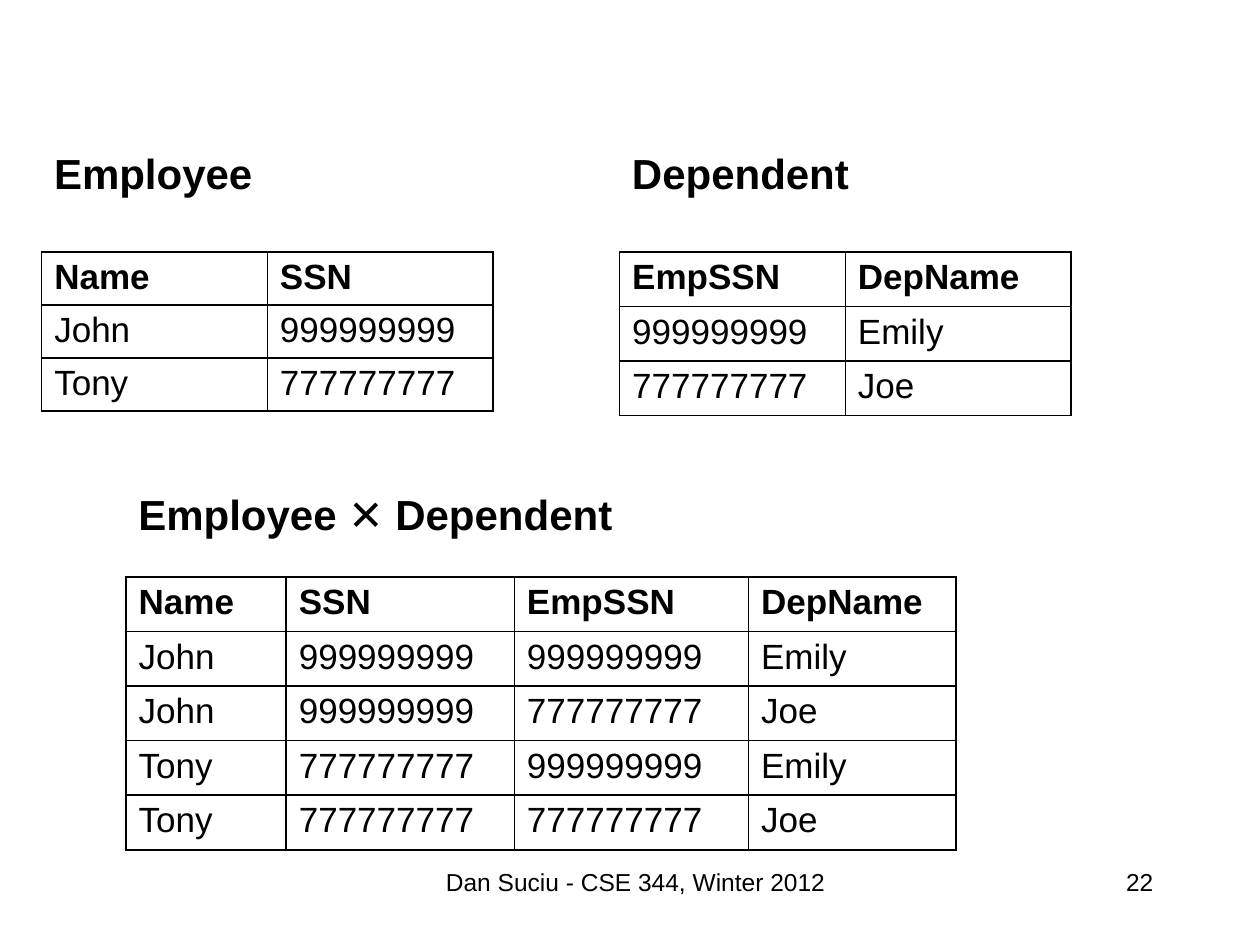
import pptx
import pptx.dml.color
import pptx.enum.text
import pptx.oxml
import pptx.oxml.ns
import pptx.util
from pptx.util import Cm

# Content: the two relations; their cross product is derived from them
EMPLOYEE = [("Name", "SSN"), ("John", "999999999"), ("Tony", "777777777")]
DEPENDENT = [("EmpSSN", "DepName"), ("999999999", "Emily"), ("777777777", "Joe")]
PRODUCT = [EMPLOYEE[0] + DEPENDENT[0]] + [
    employee + dependent for employee in EMPLOYEE[1:] for dependent in DEPENDENT[1:]
]

# Sections: heading, rows, left, heading top, table top, column widths, row height (cm)
SECTIONS = [
    ("Employee", EMPLOYEE, 0.84, 2.84, 5.08, (4.55, 4.55), 1.05),
    ("Dependent", DEPENDENT, 12.49, 2.84, 5.08, (4.55, 4.55), 1.1),
    ("Employee ✕ Dependent", PRODUCT, 2.54, 9.73, 11.63, (3.23, 4.6, 4.72, 4.18), 1.1),
]

ALIGN = pptx.enum.text.PP_ALIGN
# Footer parts: text, left, width (cm), alignment
FOOTER = [
    ("Dan Suciu - CSE 344, Winter 2012", 8.05, 9.53, ALIGN.CENTER),
    ("22", 18.2, 5.3, ALIGN.RIGHT),
]
FOOTER_TOP = 17.35
BOX_HEIGHT = 1.27

THEME = {
    "font": "Arial",
    "ink": "000000",
    "heading": 24,
    "cell": 20,
    "footer": 14,
    "border": 1,
}


def write(frame, text, size, bold=False, align=ALIGN.LEFT):
    para = frame.paragraphs[0]
    para.alignment = align
    span = para.add_run()
    span.text = text
    span.font.name = THEME["font"]
    span.font.size = pptx.util.Pt(THEME[size])
    span.font.bold = bold
    span.font.color.rgb = pptx.dml.color.RGBColor.from_string(THEME["ink"])


def add_text(page, text, left, top, width, size, wrap=True, **style):
    box = page.shapes.add_textbox(Cm(left), Cm(top), Cm(width), Cm(BOX_HEIGHT))
    box.text_frame.word_wrap = wrap
    write(box.text_frame, text, size, **style)


def add_borders(cell):
    properties = cell._tc.get_or_add_tcPr()
    for side in ("lnL", "lnR", "lnT", "lnB"):
        properties.append(pptx.oxml.parse_xml(
            f'<a:{side} {pptx.oxml.ns.nsdecls("a")} w="{pptx.util.Pt(THEME["border"])}">'
            f'<a:solidFill><a:srgbClr val="{THEME["ink"]}"/></a:solidFill></a:{side}>'
        ))


def add_relation(page, rows, left, top, widths, row_height):
    table = page.shapes.add_table(
        len(rows), len(widths), Cm(left), Cm(top),
        Cm(sum(widths)), Cm(row_height * len(rows)),
    ).table
    table.first_row = table.horz_banding = False
    for column, width in zip(table.columns, widths):
        column.width = Cm(width)
    for index, values in enumerate(rows):
        table.rows[index].height = Cm(row_height)
        for cell, value in zip(table.rows[index].cells, values):
            cell.margin_top, cell.margin_bottom = Cm(0.12), Cm(0.1)
            add_borders(cell)
            cell.fill.background()
            write(cell.text_frame, value, "cell", bold=index == 0)


def main():
    deck = pptx.Presentation()
    deck.slide_width, deck.slide_height = Cm(25.4), Cm(19.05)
    page = deck.slides.add_slide(deck.slide_layouts[6])

    # Headings and tables
    for heading, rows, left, heading_top, table_top, widths, row_height in SECTIONS:
        add_text(page, heading, left, heading_top, sum(widths), "heading",
                 bold=True)
        add_relation(page, rows, left, table_top, widths, row_height)

    # Footer and page number
    for text, left, width, align in FOOTER:
        add_text(page, text, left, FOOTER_TOP, width, "footer", align=align)

    deck.save("out.pptx")


if __name__ == "__main__":
    main()
